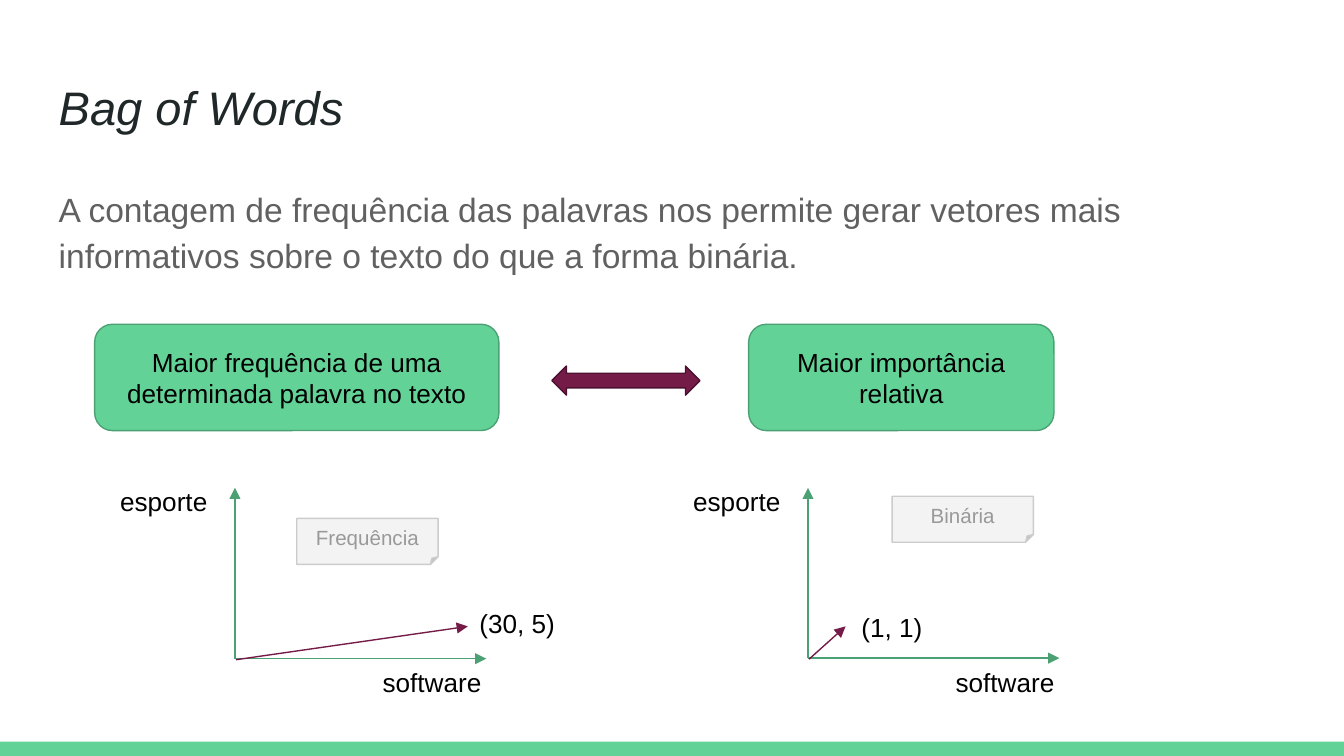
import pptx
import pptx.util
import pptx.dml.color
import pptx.enum.shapes
import pptx.enum.text
import pptx.oxml
import pptx.oxml.ns
from pptx.util import Cm

SHAPE = pptx.enum.shapes.MSO_SHAPE
ANCHOR = pptx.enum.text.MSO_ANCHOR
ALIGN = pptx.enum.text.PP_ALIGN
GREEN, DARK_GREEN, PURPLE = "63D297", "4BA173", "741B47"


def rgb(value):
    return pptx.dml.color.RGBColor.from_string(value)


def apply(target, values):
    for name, value in values.items():
        setattr(target, name, value)


class Deck:
    font = "Arial"
    inset = Cm(0.25)
    line_width = pptx.util.Pt(0.75)

    def __init__(self, width, height):
        self.prs = pptx.Presentation()
        apply(self.prs, {"slide_width": Cm(width), "slide_height": Cm(height)})
        self.slide = self.prs.slides.add_slide(self.prs.slide_layouts[6])

    def fill_text(self, sp, text, size, color, anchor, italic=None, **para):
        tf = sp.text_frame
        apply(tf, {"word_wrap": True, "vertical_anchor": anchor})
        apply(tf, {f"margin_{side}": self.inset for side in ("left", "top", "right", "bottom")})
        p = tf.paragraphs[0]
        apply(p, para)
        r = p.add_run()
        r.text = text
        apply(r.font, {"name": self.font, "size": pptx.util.Pt(size), "italic": italic})
        r.font.color.rgb = rgb(color)

    def text(self, text, x, y, w, h, size=14, color="000000", **style):
        sp = self.slide.shapes.add_textbox(Cm(x), Cm(y), Cm(w), Cm(h))
        self.fill_text(sp, text, size, color, ANCHOR.TOP, **style)

    def shape(self, kind, x, y, w, h, fill, line=None, text=None, size=14, color="000000"):
        sp = self.slide.shapes.add_shape(kind, Cm(x), Cm(y), Cm(w), Cm(h))
        sp.shadow.inherit = False
        sp.fill.solid()
        sp.fill.fore_color.rgb = rgb(fill)
        if line:
            sp.line.color.rgb = rgb(line)
            sp.line.width = self.line_width
        else:
            sp.line.fill.background()
        if text:
            self.fill_text(sp, text, size, color, ANCHOR.MIDDLE, alignment=ALIGN.CENTER)

    def arrow(self, x1, y1, x2, y2, color):
        straight = pptx.enum.shapes.MSO_CONNECTOR.STRAIGHT
        sp = self.slide.shapes.add_connector(straight, Cm(x1), Cm(y1), Cm(x2), Cm(y2))
        sp.line.color.rgb = rgb(color)
        sp.line.width = self.line_width
        ns = pptx.oxml.ns.nsdecls("a")
        props = sp.element.spPr
        props.find(pptx.oxml.ns.qn("a:ln")).append(
            pptx.oxml.parse_xml(f'<a:tailEnd {ns} type="triangle"/>'))
        props.append(pptx.oxml.parse_xml(f"<a:effectLst {ns}/>"))

    def plot(self, x, y, tip, label, label_dx, label_y, note, note_dx, note_y):
        self.arrow(x, y, x, 9.22, DARK_GREEN)
        self.arrow(x, y, x + 4.75, y, DARK_GREEN)
        self.arrow(x + 0.02, y + 0.02, x + tip, 11.84, PURPLE)
        self.text(label, x + label_dx, label_y, 2, 1.12)
        self.text("esporte", x - 2.42, 8.92, 2.27, 1.12)
        self.text("software", x + 2.54, 12.34, 3.05, 1.12)
        self.shape(SHAPE.FOLDED_CORNER, x + note_dx, note_y, 2.67, 0.87,
                   "F3F3F3", "CCCCCC", note, 11, "999999")


deck = Deck(25.4, 14.29)
deck.shape(SHAPE.RECTANGLE, 0, 14.02, 25.4, 0.27, GREEN)
deck.text("Bag of Words", 0.86, 1.24, 23.67, 1.6, 25.2, "202729", italic=True)
deck.text("A contagem de frequência das palavras nos permite gerar vetores mais "
          "informativos sobre o texto do que a forma binária.",
          0.86, 3.2, 23.67, 2.39, 18, "616161",
          line_spacing=1.15, space_after=pptx.util.Pt(12))

for x, w, text in (
    (1.79, 7.64, "Maior frequência de uma determinada palavra no texto"),
    (14.15, 5.77, "Maior importância relativa"),
):
    deck.shape(SHAPE.ROUNDED_RECTANGLE, x, 6.13, w, 2.01, GREEN, DARK_GREEN, text)
deck.shape(SHAPE.LEFT_RIGHT_ARROW, 10.43, 6.92, 2.8, 0.55, PURPLE, "4C1130")

deck.plot(4.44, 12.45, 4.4, "(30, 5)", 4.37, 11.23, "Frequência", 1.17, 9.8)
deck.plot(15.27, 12.44, 0.71, "(1, 1)", 0.76, 11.3, "Binária", 1.59, 9.38)

deck.prs.save("out.pptx")
